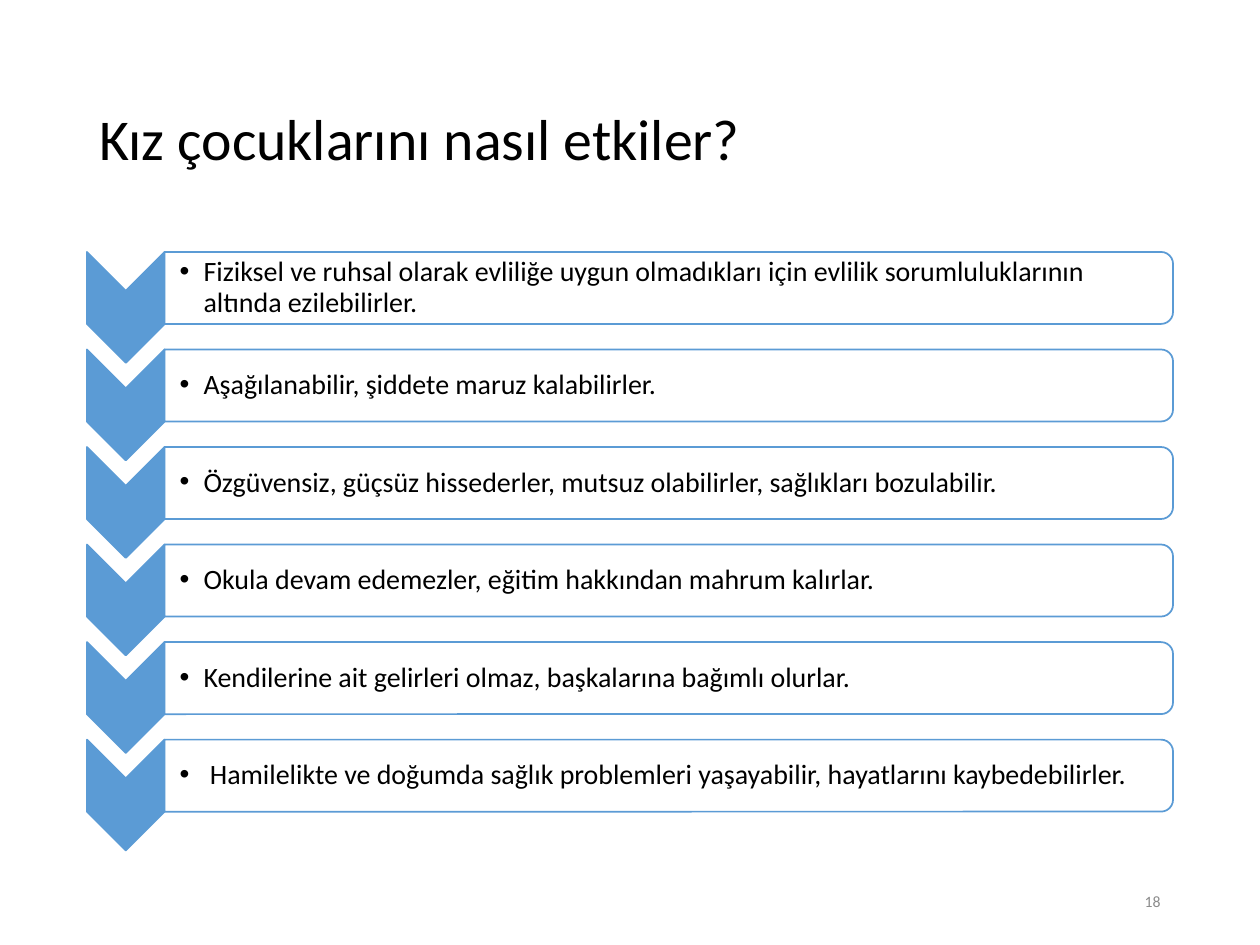
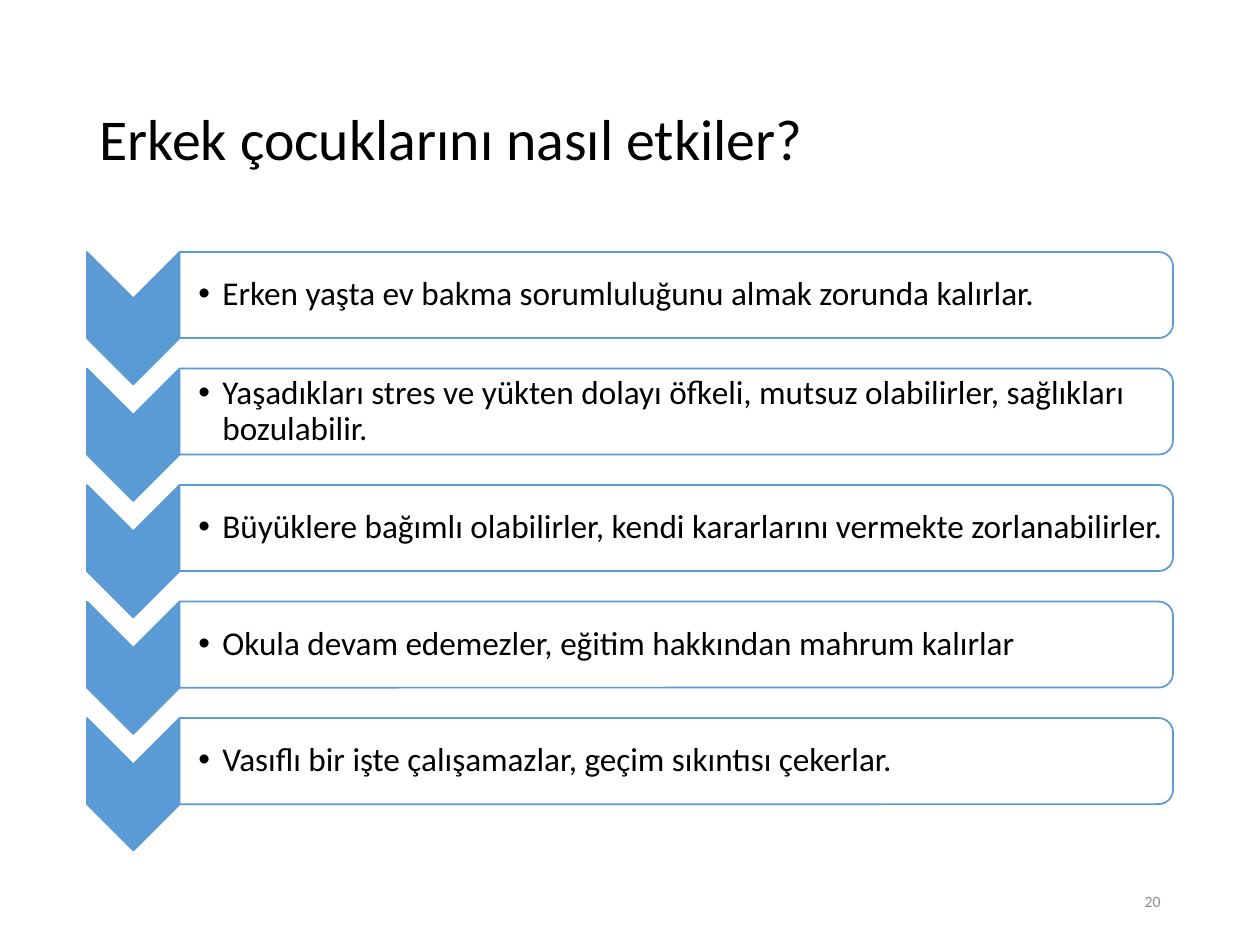
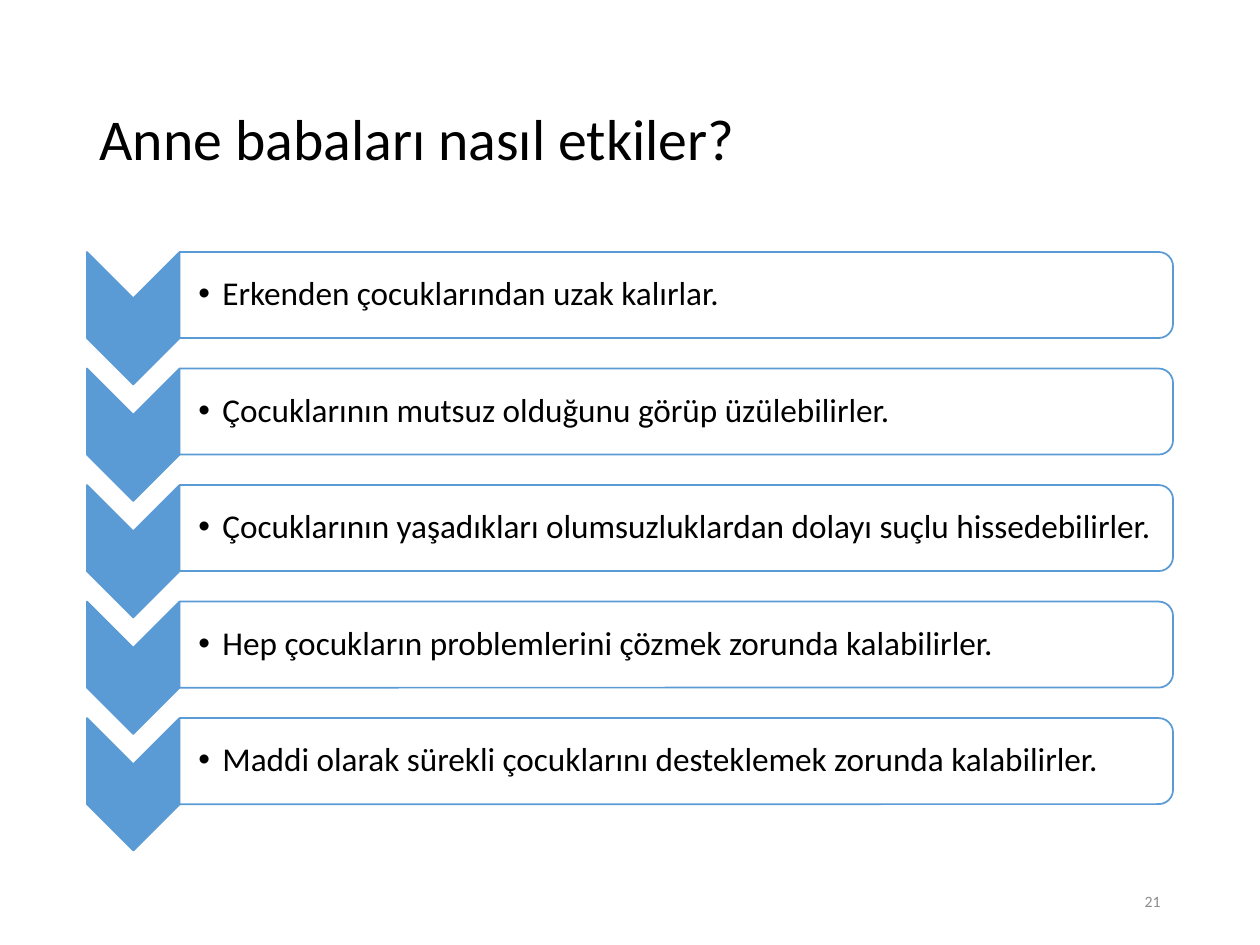
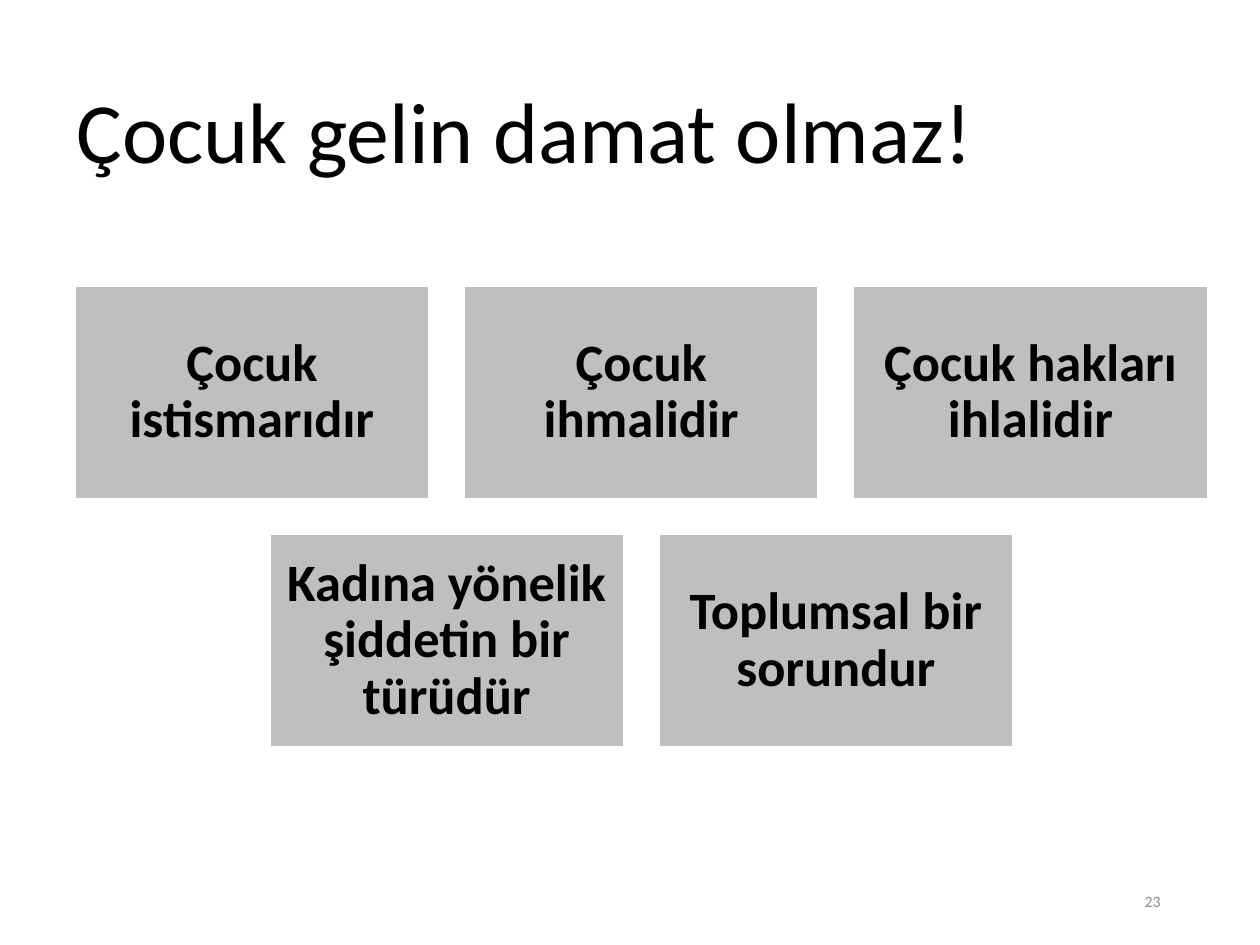
from lxml import etree
from pptx import Presentation
from pptx.dml.color import RGBColor
from pptx.enum.shapes import MSO_SHAPE
from pptx.enum.text import MSO_ANCHOR, MSO_AUTO_SIZE, PP_ALIGN
from pptx.oxml.ns import qn
from pptx.util import Inches, Pt

CHEVRON = MSO_SHAPE.CHEVRON
BAR = MSO_SHAPE.ROUND_2_SAME_RECTANGLE
CARD = MSO_SHAPE.RECTANGLE
MIDDLE = MSO_ANCHOR.MIDDLE
NO_AUTOFIT = MSO_AUTO_SIZE.NONE
LEFT, CENTER, RIGHT = PP_ALIGN.LEFT, PP_ALIGN.CENTER, PP_ALIGN.RIGHT

BLACK = RGBColor(0x00, 0x00, 0x00)
WHITE = RGBColor(0xFF, 0xFF, 0xFF)
BLUE = RGBColor(0x5B, 0x9B, 0xD5)
SILVER = RGBColor(0xBF, 0xBF, 0xBF)
GRAY = RGBColor(0x8C, 0x8C, 0x8C)
FONT = "Calibri"
TITLE_ONLY = 5

EFFECT_SLIDES = [
    {
        "title": "Kız çocuklarını nasıl etkiler?",
        "number": "18",
        "size": 16,
        "inset": 0.12,
        "effects": [
            "Fiziksel ve ruhsal olarak evliliğe uygun olmadıkları için evlilik sorumluluklarının altında ezilebilirler.",
            "Aşağılanabilir, şiddete maruz kalabilirler.",
            "Özgüvensiz, güçsüz hissederler, mutsuz olabilirler, sağlıkları bozulabilir.",
            "Okula devam edemezler, eğitim hakkından mahrum kalırlar.",
            "Kendilerine ait gelirleri olmaz, başkalarına bağımlı olurlar.",
            " Hamilelikte ve doğumda sağlık problemleri yaşayabilir, hayatlarını kaybedebilirler.",
        ],
    },
    {
        "title": "Erkek çocuklarını nasıl etkiler?",
        "number": "20",
        "size": 19,
        "inset": 0.15,
        "effects": [
            "Erken yaşta ev bakma sorumluluğunu almak zorunda kalırlar.",
            "Yaşadıkları stres ve yükten dolayı öfkeli, mutsuz olabilirler, sağlıkları bozulabilir.",
            "Büyüklere bağımlı olabilirler, kendi kararlarını vermekte zorlanabilirler.",
            "Okula devam edemezler, eğitim hakkından mahrum kalırlar",
            "Vasıflı bir işte çalışamazlar, geçim sıkıntısı çekerlar.",
        ],
    },
    {
        "title": "Anne babaları nasıl etkiler?",
        "number": "21",
        "size": 19,
        "inset": 0.15,
        "effects": [
            "Erkenden çocuklarından uzak kalırlar.",
            "Çocuklarının mutsuz olduğunu görüp üzülebilirler.",
            "Çocuklarının yaşadıkları olumsuzluklardan dolayı suçlu hissedebilirler.",
            "Hep çocukların problemlerini çözmek zorunda kalabilirler.",
            "Maddi olarak sürekli çocuklarını desteklemek zorunda kalabilirler.",
        ],
    },
]

CLOSING_TITLE = "Çocuk gelin damat olmaz!"
CLOSING_NUMBER = "23"
CARD_ROWS = [
    ["Çocuk istismarıdır", "Çocuk ihmalidir", "Çocuk hakları ihlalidir"],
    ["Kadına yönelik şiddetin bir türüdür", "Toplumsal bir sorundur"],
]

TITLE_BOX = (0.69, 0.4, 8.62, 1.45)
CLOSING_TITLE_BOX = (0.51, 0.13, 9, 1.4)
NUMBER_BOX = (7.06, 6.95, 2.25, 0.4)

LIST_LEFT, LIST_RIGHT, LIST_TOP, LIST_HEIGHT = 0.69, 9.31, 2.0, 4.75
STEP_RATIO, CHEVRON_RATIO, BAR_RATIO = 0.88, 0.7, 0.65
BULLET_INDENT = 0.19

CARD_WIDTH, CARD_HEIGHT, CARD_GAP = 2.81, 1.69, 0.28
CARDS_CENTER, CARDS_TOP = 5.09, 2.27


def write_text(shape, text, size, color=BLACK, align=LEFT, bold=False, spacing=0.9, margins=None):
    frame = shape.text_frame
    frame.word_wrap = True
    frame.auto_size = NO_AUTOFIT
    frame.vertical_anchor = MIDDLE
    if margins:
        frame.margin_left, frame.margin_top, frame.margin_right, frame.margin_bottom = map(Inches, margins)
    paragraph = frame.paragraphs[0]
    paragraph.alignment = align
    paragraph.line_spacing = spacing
    run = paragraph.add_run()
    run.text = text
    run.font.name = FONT
    run.font.size = Pt(size)
    run.font.bold = bold
    run.font.color.rgb = color
    return paragraph


def add_bullet(paragraph):
    properties = paragraph._p.get_or_add_pPr()
    properties.set("marL", str(Inches(BULLET_INDENT)))
    properties.set("indent", str(-Inches(BULLET_INDENT)))
    etree.SubElement(properties, qn("a:buFont"), typeface="Arial")
    etree.SubElement(properties, qn("a:buChar"), char="•")


def add_filled_shape(slide, kind, box, fill, line):
    shape = slide.shapes.add_shape(kind, *map(Inches, box))
    shape.shadow.inherit = False
    shape.fill.solid()
    shape.fill.fore_color.rgb = fill
    shape.line.color.rgb = line
    shape.line.width = Pt(1)
    return shape


def add_turned_shape(slide, kind, box, fill):
    left, top, width, height = box
    shift = (width - height) / 2
    shape = add_filled_shape(slide, kind, (left + shift, top - shift, height, width), fill, BLUE)
    shape.rotation = 90
    return shape


def add_text_box(slide, box):
    return slide.shapes.add_textbox(*map(Inches, box))


def add_base_slide(presentation, title, number, box=TITLE_BOX, size=33, margins=None):
    slide = presentation.slides.add_slide(presentation.slide_layouts[TITLE_ONLY])
    heading = slide.shapes.title
    heading.left, heading.top, heading.width, heading.height = map(Inches, box)
    write_text(heading, title, size, margins=margins)
    write_text(add_text_box(slide, NUMBER_BOX), number, 9, GRAY, RIGHT, spacing=1.0)
    return slide


def add_effect_list(slide, effects, size, inset):
    chevron_height = LIST_HEIGHT / (1 + STEP_RATIO * (len(effects) - 1))
    chevron_width = CHEVRON_RATIO * chevron_height
    bar_height = BAR_RATIO * chevron_height
    bar_left = LIST_LEFT + chevron_width
    bar_width = LIST_RIGHT - bar_left
    for index, effect in enumerate(effects):
        top = LIST_TOP + index * STEP_RATIO * chevron_height
        add_turned_shape(slide, CHEVRON, (LIST_LEFT, top, chevron_width, chevron_height), BLUE)
        bar = add_turned_shape(slide, BAR, (bar_left, top, bar_width, bar_height), WHITE)
        bar_color = bar._element.spPr.find(qn("a:solidFill"))[0]
        etree.SubElement(bar_color, qn("a:alpha"), val="90000")
        label = add_text_box(slide, (bar_left, top + 0.03, bar_width - 0.03, bar_height - 0.06))
        add_bullet(write_text(label, effect, size, margins=(inset, 0.01, 0.01, 0.01)))


def add_cards(slide):
    for row, labels in enumerate(CARD_ROWS):
        row_width = len(labels) * (CARD_WIDTH + CARD_GAP) - CARD_GAP
        top = CARDS_TOP + row * (CARD_HEIGHT + CARD_GAP)
        for column, label in enumerate(labels):
            left = CARDS_CENTER - row_width / 2 + column * (CARD_WIDTH + CARD_GAP)
            card = add_filled_shape(slide, CARD, (left, top, CARD_WIDTH, CARD_HEIGHT), SILVER, WHITE)
            write_text(card, label, 30, align=CENTER, bold=True, margins=(0.12,) * 4)


def main():
    presentation = Presentation()
    presentation.slide_width = Inches(10)
    presentation.slide_height = Inches(7.5)
    for content in EFFECT_SLIDES:
        slide = add_base_slide(presentation, content["title"], content["number"])
        add_effect_list(slide, content["effects"], content["size"], content["inset"])
    closing = add_base_slide(
        presentation, CLOSING_TITLE, CLOSING_NUMBER, CLOSING_TITLE_BOX, 49, (0.1, 0.54, 0.1, 0.05)
    )
    add_cards(closing)
    presentation.save("out.pptx")


if __name__ == "__main__":
    main()
